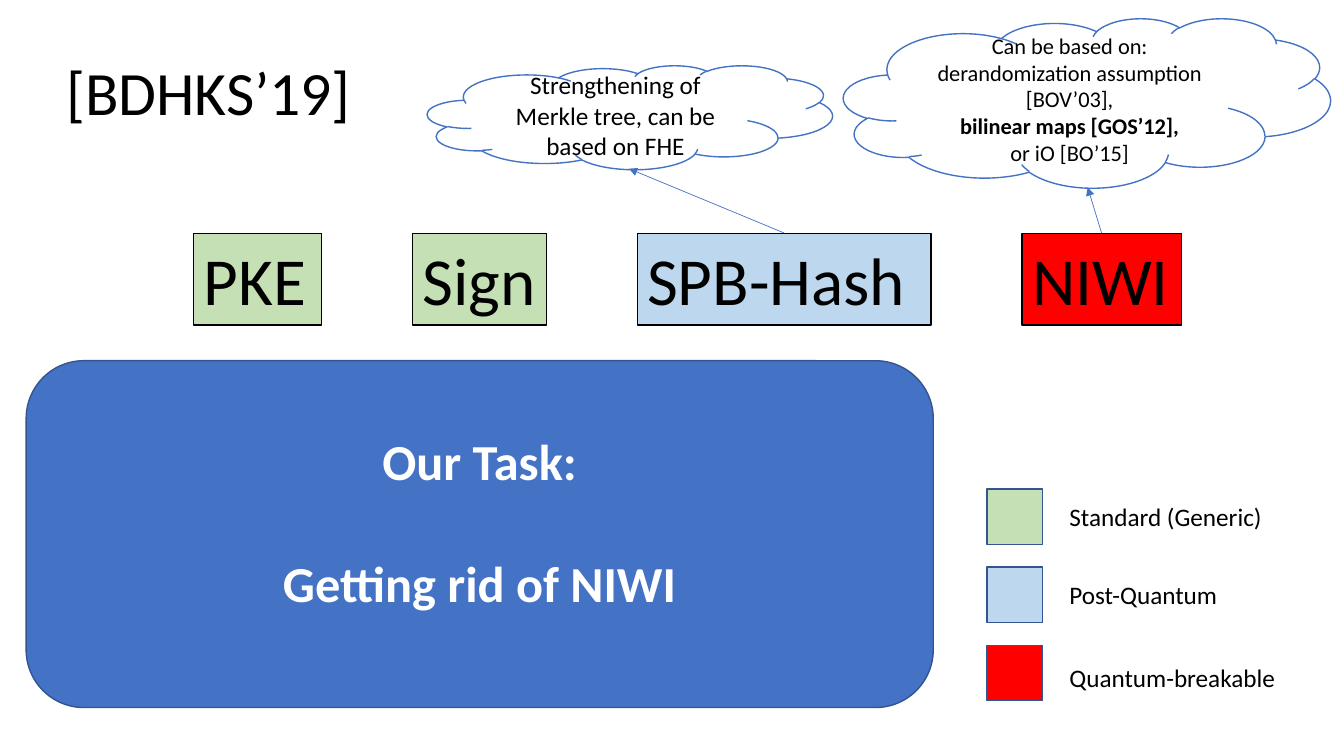
from lxml import etree
from pptx import Presentation
from pptx.dml.color import RGBColor
from pptx.enum.shapes import MSO_CONNECTOR, MSO_SHAPE
from pptx.enum.text import MSO_ANCHOR, PP_ALIGN
from pptx.oxml.ns import qn
from pptx.util import Cm, Pt

RECT, CLOUD, ROUND = MSO_SHAPE.RECTANGLE, MSO_SHAPE.CLOUD, MSO_SHAPE.ROUNDED_RECTANGLE
LINE = MSO_CONNECTOR.STRAIGHT
LEFT, CENTER = PP_ALIGN.LEFT, PP_ALIGN.CENTER
TOP, MIDDLE = MSO_ANCHOR.TOP, MSO_ANCHOR.MIDDLE

BLACK, WHITE = "000000", "FFFFFF"
GREEN, SKY, RED = "C5E0B4", "BDD7EE", "FF0000"
BLUE, NAVY = "4472C4", "325491"


def color(code):
    return RGBColor.from_string(code)


class Deck:
    font = "Calibri"

    def __init__(self):
        self.prs = Presentation()
        self.prs.slide_width, self.prs.slide_height = Cm(33.87), Cm(19.05)
        self.slide = self.prs.slides.add_slide(self.prs.slide_layouts[6])

    def label(self, shape, lines, size, ink=BLACK, align=LEFT, anchor=TOP,
              bold=(), gap=0):
        frame = shape.text_frame
        frame.word_wrap = True
        frame.vertical_anchor = anchor
        for i, line in enumerate(lines):
            para = frame.add_paragraph() if i else frame.paragraphs[0]
            para.text = line
            para.alignment = align
            if i and gap:
                para.space_before = Pt(gap)
            font = para.font
            font.name, font.size, font.bold = self.font, Pt(size), i in bold
            font.color.rgb = color(ink)
        return frame

    def text(self, x, y, w, h, line, size, anchor=TOP):
        box = self.slide.shapes.add_textbox(Cm(x), Cm(y), Cm(w), Cm(h))
        self.label(box, [line], size, anchor=anchor)

    def shape(self, kind, x, y, w, h, fill, edge):
        item = self.slide.shapes.add_shape(kind, Cm(x), Cm(y), Cm(w), Cm(h))
        item.shadow.inherit = False
        item.fill.solid()
        item.fill.fore_color.rgb = color(fill)
        item.line.color.rgb = color(edge)
        item.line.width = Pt(1)
        return item

    def block(self, x, w, name, fill):
        item = self.shape(RECT, x, 5.88, w, 2.31, fill, BLACK)
        self.label(item, [name], 48).margin_right = 0

    def cloud(self, x, y, w, h, lines, size, bold=()):
        item = self.shape(CLOUD, x, y, w, h, WHITE, BLUE)
        self.label(item, lines, size, align=CENTER, anchor=MIDDLE, bold=bold)

    def arrow(self, x1, y1, x2, y2):
        item = self.slide.shapes.add_connector(LINE, Cm(x1), Cm(y1), Cm(x2), Cm(y2))
        item.line.color.rgb = color(BLUE)
        item.line.width = Pt(0.5)
        props = item._element.spPr
        etree.SubElement(props.find(qn("a:ln")), qn("a:tailEnd"), type="triangle")
        etree.SubElement(props, qn("a:effectLst"))


def main():
    deck = Deck()
    deck.text(1.42, 0.99, 29.2, 2.62, "[BDHKS’19]", 44, MIDDLE)

    for x, w, name, fill in (
        (4.88, 3.23, "PKE", GREEN),
        (10.4, 3.38, "Sign", GREEN),
        (16.06, 7.4, "SPB-Hash", SKY),
        (25.76, 4.02, "NIWI", RED),
    ):
        deck.block(x, w, name, fill)

    legend = (
        ("Standard (Generic)", GREEN, 12.52),
        ("Post-Quantum", SKY, 14.48),
        ("Quantum-breakable", RED, 16.56),
    )
    for i, (name, fill, y) in enumerate(legend):
        deck.shape(RECT, 24.87, 12.32 + 1.97 * i, 1.4, 1.4, fill, NAVY)
        deck.text(26.7, y, 6.1, 1.02, name, 18)

    deck.cloud(10.77, 1.65, 10.21, 2.62,
               ["Strengthening of Merkle tree, can be based on FHE"], 18)
    deck.arrow(19.76, 5.87, 15.85, 4.25)
    deck.cloud(21.26, 0.46, 12.27, 4.27, [
        "Can be based on: derandomization assumption [BOV’03],",
        "bilinear maps [GOS’12],",
        "or iO [BO’15]",
    ], 16, bold=(1,))
    deck.arrow(27.76, 5.87, 27.41, 4.72)

    task = deck.shape(ROUND, 0.66, 9.09, 22.86, 8.74, BLUE, NAVY)
    frame = deck.label(task, ["Our Task:", "Getting rid of NIWI"], 36, WHITE,
                       CENTER, MIDDLE, bold=(0, 1), gap=44)
    frame.margin_bottom = Cm(0.79)

    deck.prs.save("out.pptx")


if __name__ == "__main__":
    main()
